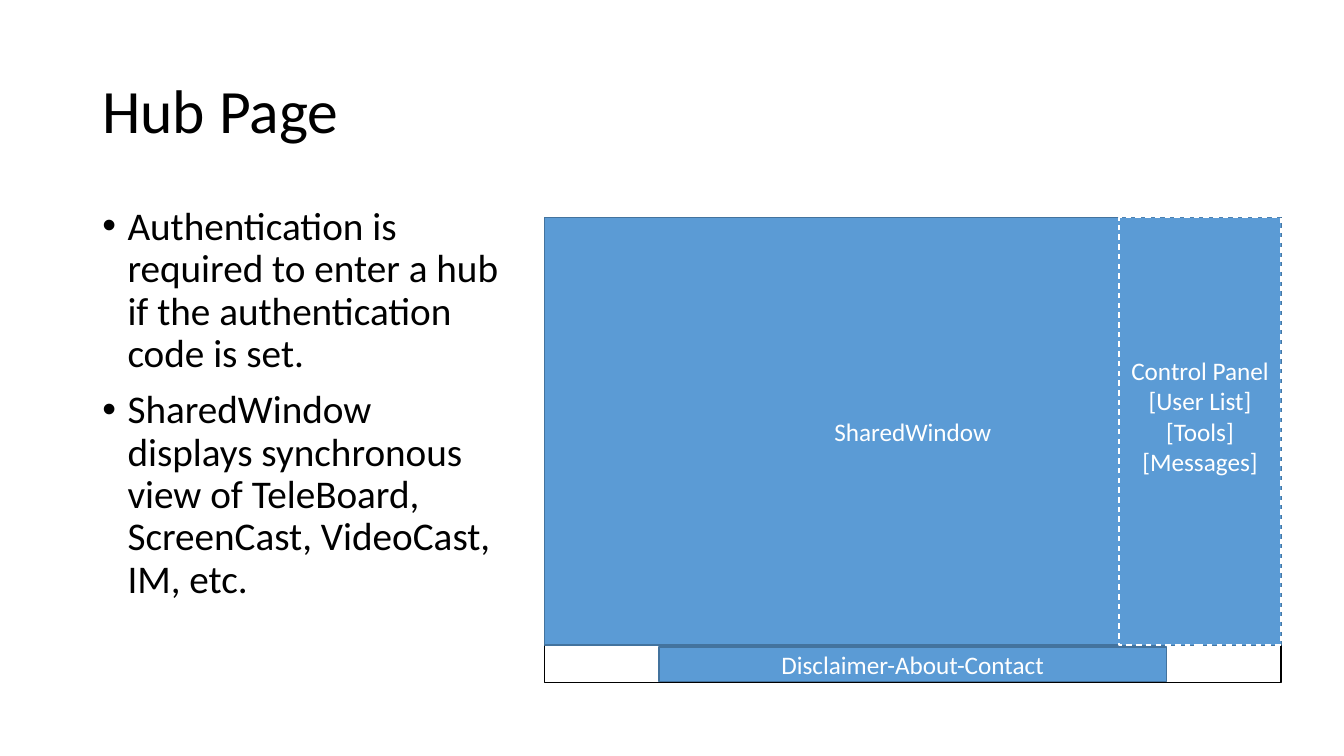
from pptx import Presentation
from pptx.dml.color import RGBColor
from pptx.enum.dml import MSO_LINE
from pptx.enum.shapes import MSO_SHAPE
from pptx.enum.text import MSO_ANCHOR, PP_ALIGN
from pptx.util import Pt
from lxml import etree

RECT = MSO_SHAPE.RECTANGLE
DASH = MSO_LINE.DASH
TOP, MIDDLE = MSO_ANCHOR.TOP, MSO_ANCHOR.MIDDLE
LEFT, CENTER = PP_ALIGN.LEFT, PP_ALIGN.CENTER
BLACK = RGBColor(0x00, 0x00, 0x00)
WHITE = RGBColor(0xFF, 0xFF, 0xFF)
BLUE = RGBColor(0x5B, 0x9B, 0xD5)
NAVY = RGBColor(0x43, 0x73, 0x9E)
FONT = "Calibri"
NS = "http://schemas.openxmlformats.org/drawingml/2006/main"

# Content
TITLE = ["Hub Page"]
POINTS = [
    "Authentication is required to enter a hub if the authentication code is set.",
    "SharedWindow displays synchronous view of TeleBoard, ScreenCast, VideoCast, IM, etc.",
]
FOOTER = ["Disclaimer-About-Contact"]
WINDOW = ["SharedWindow"]
PANEL = ["Control Panel", "[User List]", "[Tools]", "[Messages]"]

# Layout of the page mock-up, in points
X, Y, WIDE, TALL = 388.8, 155.5, 526.3, 331.9
VIEW = 305.3      # height of the shared window
SIDE = 115.9      # width of the control panel
FOOT_W, FOOT_H = 362.2, 24.5
LINE = 22         # one line of label text


def write(frame, lines, size, color, align, anchor):
    frame.word_wrap = True
    frame.vertical_anchor = anchor
    for i, line in enumerate(lines):
        para = frame.paragraphs[0] if i == 0 else frame.add_paragraph()
        para.alignment = align
        run = para.add_run()
        run.text = line
        run.font.size = Pt(size)
        run.font.name = FONT
        run.font.color.rgb = color


def add_text(x, y, w, h, lines, size, anchor):
    box = slide.shapes.add_textbox(Pt(x), Pt(y), Pt(w), Pt(h))
    write(box.text_frame, lines, size, BLACK, LEFT, anchor)
    for para in box.text_frame.paragraphs:
        para.line_spacing = 0.9
    return box.text_frame


def add_box(x, y, w, h, fill, edge, lines=()):
    box = slide.shapes.add_shape(RECT, Pt(x), Pt(y), Pt(w), Pt(h))
    box.shadow.inherit = False
    box.fill.solid()
    box.fill.fore_color.rgb = fill
    box.line.color.rgb = edge
    box.line.width = Pt(1)
    write(box.text_frame, lines, 18, WHITE, CENTER, MIDDLE)
    return box


deck = Presentation()
deck.slide_width, deck.slide_height = Pt(960), Pt(540)
slide = deck.slides.add_slide(deck.slide_layouts[6])

# Title and bullets
add_text(66, 28.8, 828, 104.4, TITLE, 44, MIDDLE)
body = add_text(66, 144, 301, 342.7, POINTS, 28, TOP)
for para in body.paragraphs:
    para.space_before = Pt(10)
    props = para._p.get_or_add_pPr()
    props.set("marL", str(Pt(18)))
    props.set("indent", str(-Pt(18)))
    etree.SubElement(props, f"{{{NS}}}buFont").set("typeface", "Arial")
    etree.SubElement(props, f"{{{NS}}}buChar").set("char", "•")

# Page mock-up: frame, footer, shared window, control panel
add_box(X, Y, WIDE, TALL, WHITE, BLACK)
add_box(X + (WIDE - FOOT_W) / 2, Y + TALL - FOOT_H - 0.7, FOOT_W, FOOT_H,
        BLUE, NAVY, FOOTER)
add_box(X, Y, WIDE, VIEW, BLUE, NAVY, WINDOW)
panel = add_box(X + WIDE - SIDE, Y, SIDE, VIEW, BLUE, WHITE, PANEL)
panel.line.dash_style = DASH
panel.text_frame.margin_bottom = Pt(3.6 + LINE)

deck.save("out.pptx")
